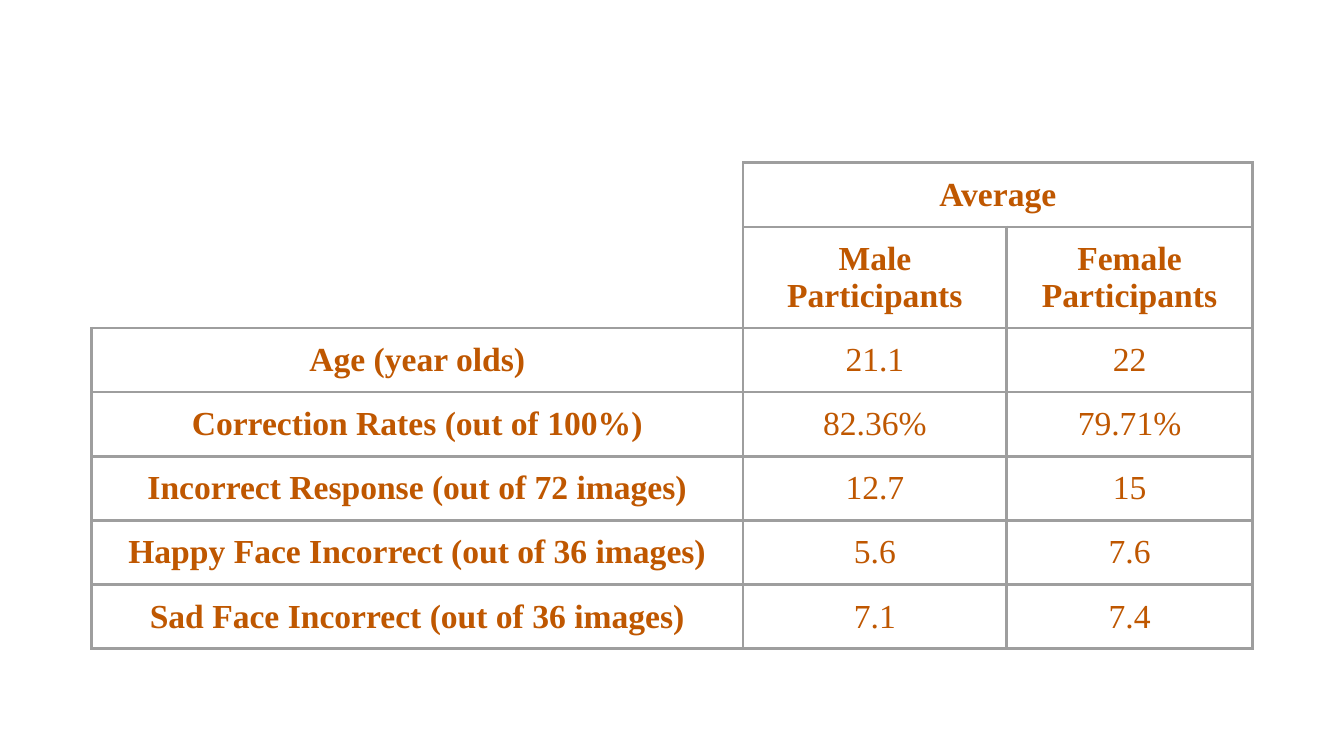
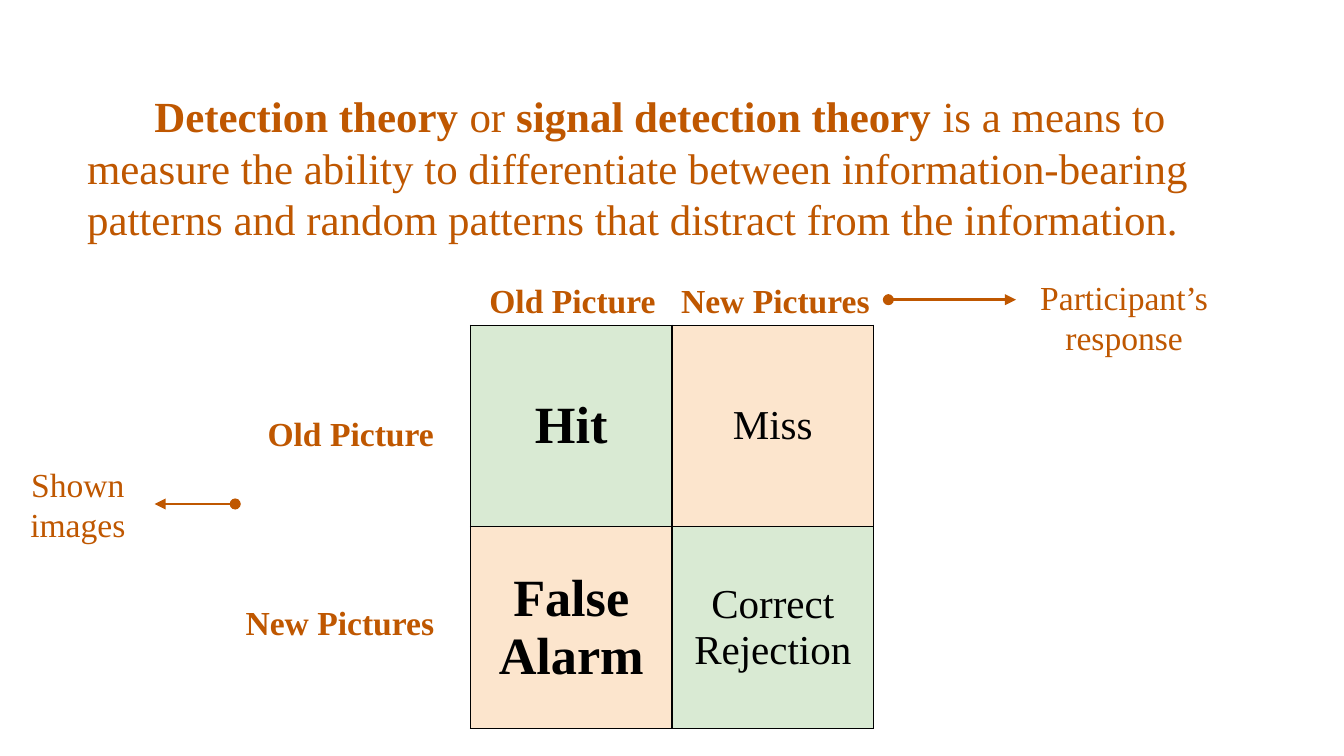
from lxml import etree
from pptx import Presentation
from pptx.dml.color import RGBColor
from pptx.enum.shapes import MSO_CONNECTOR
from pptx.enum.text import MSO_ANCHOR, MSO_AUTO_SIZE, PP_ALIGN
from pptx.oxml.ns import qn
from pptx.util import Inches, Pt

COLORS = {
    "orange": "BF5700",
    "grid": "9E9E9E",
    "white": "FFFFFF",
    "black": "000000",
    "right": "D9EAD3",
    "wrong": "FCE5CD",
}
FONT = "Times New Roman"
MARGIN = Inches(0.1)

AVERAGES = [
    ("", "Average", ""),
    ("", "Male Participants", "Female\nParticipants"),
    ("Age (year olds)", "21.1", "22"),
    ("Correction Rates (out of 100%)", "82.36%", "79.71%"),
    ("Incorrect Response (out of 72 images)", "12.7", "15"),
    ("Happy Face Incorrect (out of 36 images)", "5.6", "7.6"),
    ("Sad Face Incorrect (out of 36 images)", "7.1", "7.4"),
]
OUTCOMES = [("Hit", "Miss"), ("False Alarm", "Correct Rejection")]
DEFINITION = [
    ("Detection theory", True),
    (" or ", False),
    ("signal detection theory", True),
    (" is a means to measure the ability to differentiate between "
     "information-bearing patterns and random patterns that distract "
     "from the information.", False),
]


def rgb(name):
    return RGBColor.from_string(COLORS[name])


def style_font(font, size, color="orange", bold=False):
    font.name = FONT
    font.size = Pt(size)
    font.bold = bold
    font.color.rgb = rgb(color)


def set_margins(holder):
    holder.margin_left = holder.margin_right = MARGIN
    holder.margin_top = holder.margin_bottom = MARGIN


# Tables
def add_grid(slide, left, top, widths, heights):
    table = slide.shapes.add_table(
        len(heights), len(widths), Inches(left), Inches(top),
        Inches(sum(widths)), Inches(sum(heights))).table
    table.first_row = table.horz_banding = False
    for column, width in zip(table.columns, widths):
        column.width = Inches(width)
    for row, height in zip(table.rows, heights):
        row.height = Inches(height)
    return table


def set_borders(cell, width, color, **sides):
    """Draw all four borders; sides (L, R, T, B) override the colour."""
    for side in "LRTB":
        border = etree.SubElement(cell._tc.get_or_add_tcPr(),
                                  qn(f"a:ln{side}"), w=str(Pt(width)))
        fill = etree.SubElement(border, qn("a:solidFill"))
        etree.SubElement(fill, qn("a:srgbClr"),
                         val=COLORS[sides.get(side, color)])


def fill_cell(cell, text, size, color, bold, fill=None):
    cell.text_frame.text = text
    set_margins(cell)
    for paragraph in cell.text_frame.paragraphs:
        paragraph.alignment = PP_ALIGN.CENTER
        for run in paragraph.runs:
            style_font(run.font, size, color, bold)
    if fill:
        cell.fill.solid()
        cell.fill.fore_color.rgb = rgb(fill)
    else:
        cell.fill.background()


# Text and arrows
def add_box(slide, left, top, width, height):
    frame = slide.shapes.add_textbox(
        Inches(left), Inches(top), Inches(width), Inches(height)).text_frame
    frame.word_wrap = True
    set_margins(frame)
    return frame


def add_label(slide, text, left, top, width, bold=False):
    frame = add_box(slide, left, top, width, 0.5)
    frame.vertical_anchor = MSO_ANCHOR.MIDDLE
    label = frame.paragraphs[0]
    label.text = text
    label.alignment = PP_ALIGN.CENTER
    style_font(label.runs[0].font, 18, bold=bold)


def add_arrow(slide, start, end, y):
    arrow = slide.shapes.add_connector(
        MSO_CONNECTOR.STRAIGHT, Inches(start), Inches(y), Inches(end), Inches(y))
    arrow.line.color.rgb = rgb("orange")
    arrow.line.width = Pt(1.5)
    line = arrow.line._get_or_add_ln()
    etree.SubElement(line, qn("a:headEnd"), type="oval")
    etree.SubElement(line, qn("a:tailEnd"), type="triangle")
    etree.SubElement(arrow._element.spPr, qn("a:effectLst"))


def add_definition(slide):
    frame = add_box(slide, 0.55, 0.57, 8.9, 1.36)
    frame.auto_size = MSO_AUTO_SIZE.SHAPE_TO_FIT_TEXT
    paragraph = frame.paragraphs[0]
    properties = paragraph._p.get_or_add_pPr()
    properties.set("marL", "0")
    properties.set("indent", str(Inches(0.5)))
    for text, bold in DEFINITION:
        run = paragraph.add_run()
        run.text = text
        style_font(run.font, 23, bold=bold)


# Slides
def build_averages(slide):
    table = add_grid(slide, 0.68, 1.21, [4.85, 1.96, 1.83],
                     [0.42] * len(AVERAGES))
    for r, row in enumerate(AVERAGES):
        for c, text in enumerate(row):
            cell = table.cell(r, c)
            sides = {}
            if c == 0 and r < 2:
                sides = {"L": "white", "T": "white"}
            set_borders(cell, 1.5, "grid", **sides)
            fill_cell(cell, text, 18, "orange", bold=r < 2 or c == 0)
    table.cell(0, 0).merge(table.cell(1, 0))
    table.cell(0, 1).merge(table.cell(0, 2))


def build_detection(slide):
    add_definition(slide)

    # Outcome matrix
    matrix = add_grid(slide, 3.5, 2.42, [1.5] * 2, [1.5] * 2)
    for r, row in enumerate(OUTCOMES):
        for c, text in enumerate(row):
            cell = matrix.cell(r, c)
            set_borders(cell, 0.75, "black")
            fill_cell(cell, text, 22 if c else 28, "black", bold=c == 0,
                      fill="right" if r == c else "wrong")
            cell.vertical_anchor = MSO_ANCHOR.MIDDLE

    # Column and row headings
    for left, top in [(3.5, 1.98), (1.85, 2.97)]:
        add_label(slide, "Old Picture", left, top, 1.52, bold=True)
    for left, top in [(1.68, 4.38), (4.92, 1.98)]:
        add_label(slide, "New Pictures", left, top, 1.7, bold=True)

    # What each axis stands for
    add_arrow(slide, 6.61, 7.56, 2.23)
    add_label(slide, "Participant’s response", 7.45, 2.11, 1.83)
    add_arrow(slide, 1.75, 1.15, 3.75)
    add_label(slide, "Shown images", 0.11, 3.5, 0.94)


def main():
    deck = Presentation()
    deck.slide_width = Inches(10)
    deck.slide_height = deck.slide_width * 9 // 16
    for build in (build_averages, build_detection):
        slide = deck.slides.add_slide(deck.slide_layouts[6])
        slide.background.fill.solid()
        slide.background.fill.fore_color.rgb = rgb("white")
        build(slide)
    deck.save("out.pptx")


if __name__ == "__main__":
    main()
